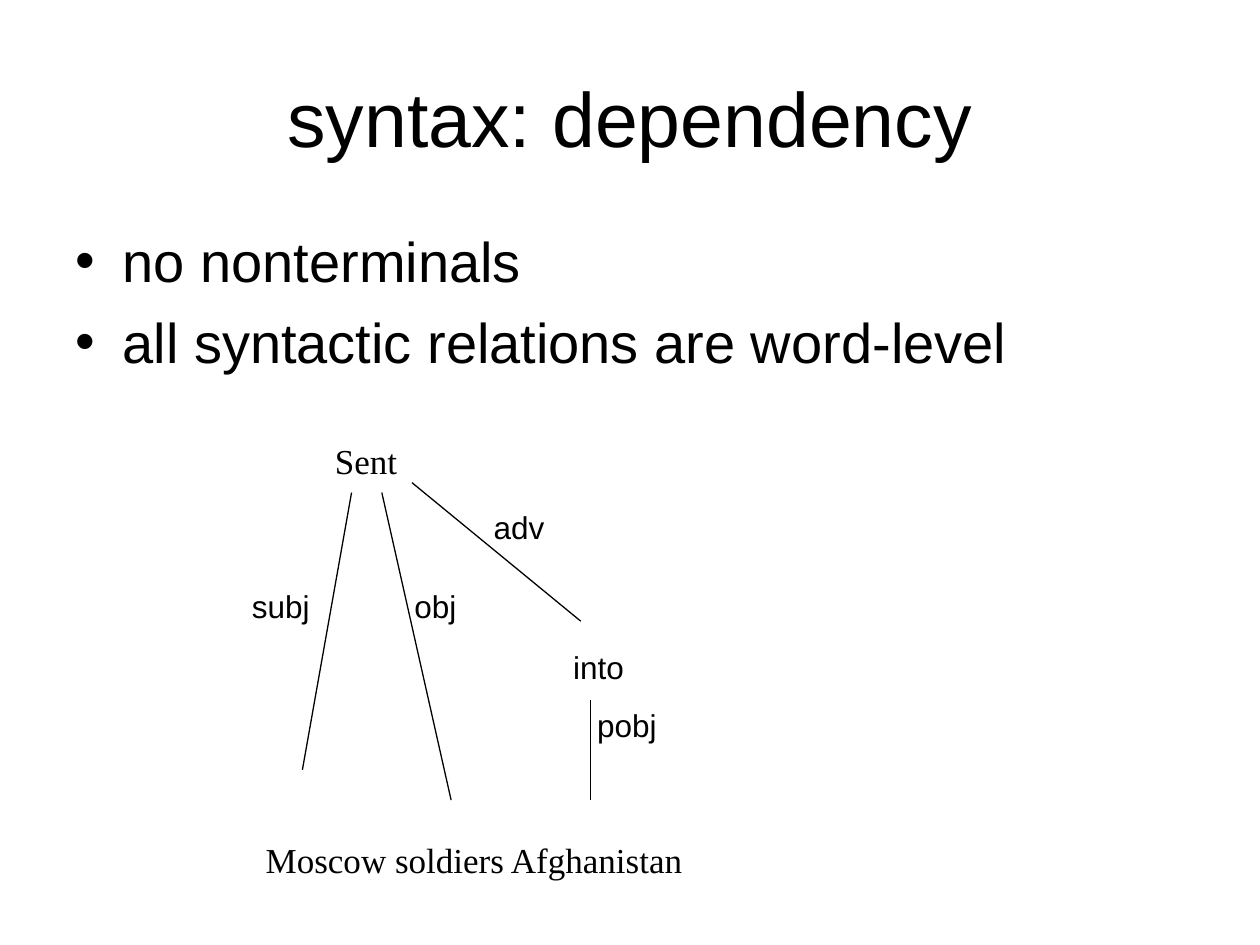
"""Build the slide on dependency syntax with its word tree."""
import pptx
import pptx.util
import pptx.dml.color
import pptx.enum.shapes
import pptx.enum.text
import pptx.oxml.ns
import lxml.etree

Pt = pptx.util.Pt
Anchor = pptx.enum.text.MSO_ANCHOR
Fit = pptx.enum.text.MSO_AUTO_SIZE
qn = pptx.oxml.ns.qn
COLORS = {"ink": "000000", "back": "FFFFFF"}
ink = pptx.dml.color.RGBColor.from_string(COLORS["ink"])
sans, serif = "Arial", "Times New Roman"


def style(para, face, size):
    para.font.name = face
    para.font.size = Pt(size)
    para.font.color.rgb = ink


def label(text, left, top, width, height, face, size):
    box = slide.shapes.add_textbox(Pt(left), Pt(top), Pt(width), Pt(height))
    frame = box.text_frame
    frame.text = text
    for para in frame.paragraphs:
        style(para, face, size)
    return frame


deck = pptx.Presentation()
deck.slide_width, deck.slide_height = Pt(720), Pt(540)
slide = deck.slides.add_slide(deck.slide_layouts[5])
slide.background.fill.solid()
slide.background.fill.fore_color.rgb = pptx.dml.color.RGBColor.from_string(COLORS["back"])

title = slide.shapes.title
title.left, title.top, title.width, title.height = Pt(36), Pt(21.6), Pt(648), Pt(90)
title.text_frame.text = "syntax: dependency"
title.text_frame.vertical_anchor = Anchor.MIDDLE
head = title.text_frame.paragraphs[0]
head.alignment = pptx.enum.text.PP_ALIGN.CENTER
style(head, sans, 44)

points = "no nonterminals\nall syntactic relations are word-level"
body = label(points, 36, 126, 648, 356.4, sans, 32)
body.word_wrap = True
for para in body.paragraphs:
    para.space_before = Pt(8)
    props = para._p.get_or_add_pPr()
    props.set("marL", str(Pt(27)))
    props.set("indent", str(-Pt(27)))
    font = lxml.etree.Element(qn("a:buFont"), typeface=sans)
    mark = lxml.etree.Element(qn("a:buChar"), char="•")
    props.find(qn("a:spcBef")).addnext(font)
    font.addnext(mark)

words = label("Moscow soldiers Afghanistan", 144.7, 451.4, 358.6, 55.4, serif, 20)
words.word_wrap = True
words.vertical_anchor = Anchor.BOTTOM

nodes = [
    ("Sent", 184.3, 247.7, 52, 31.7, serif, 20),
    ("into", 320.4, 366.5, 44, 28.8, sans, 18),
    ("subj", 136.8, 331.9, 48, 28.8, sans, 18),
    ("obj", 229.7, 331.9, 39, 28.8, sans, 18),
    ("adv", 275, 286.6, 44, 28.8, sans, 18),
    ("pobj", 334.1, 399.9, 49, 28.8, sans, 18),
]
for node in nodes:
    frame = label(*node)
    frame.word_wrap = False
    frame.auto_size = Fit.SHAPE_TO_FIT_TEXT

edges = [
    (200.9, 281.5, 172.8, 439.9),
    (218.2, 281.5, 257.8, 457.2),
    (235.4, 275.8, 331.9, 355),
    (337.5, 400.3, 337.5, 457.2),
]
for edge in edges:
    ends = [Pt(n) for n in edge]
    line = slide.shapes.add_connector(pptx.enum.shapes.MSO_CONNECTOR.STRAIGHT, *ends)
    line.line.color.rgb = ink
    line.line.width = Pt(0.75)
    lxml.etree.SubElement(line._element.spPr, qn("a:effectLst"))

deck.save("out.pptx")
